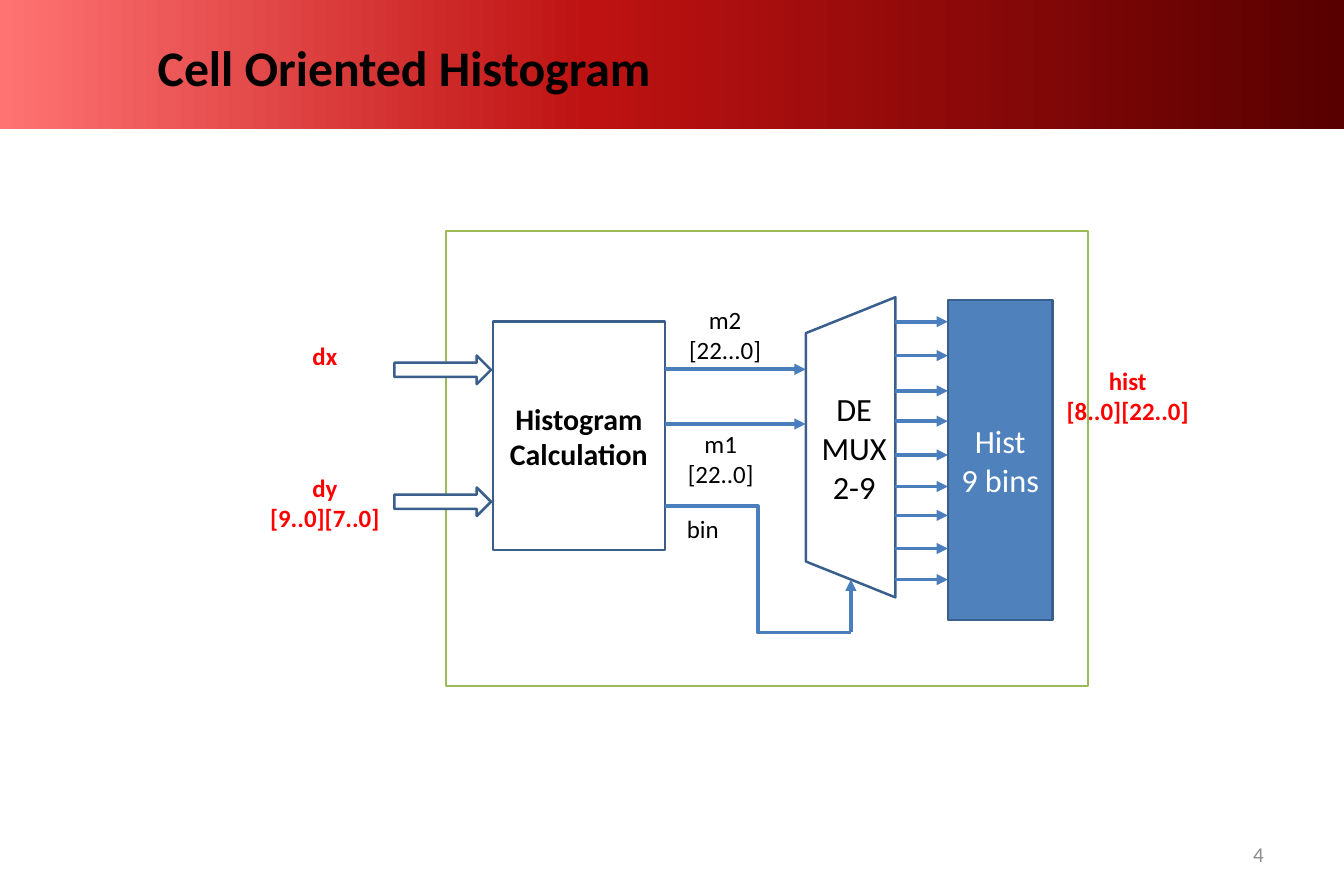
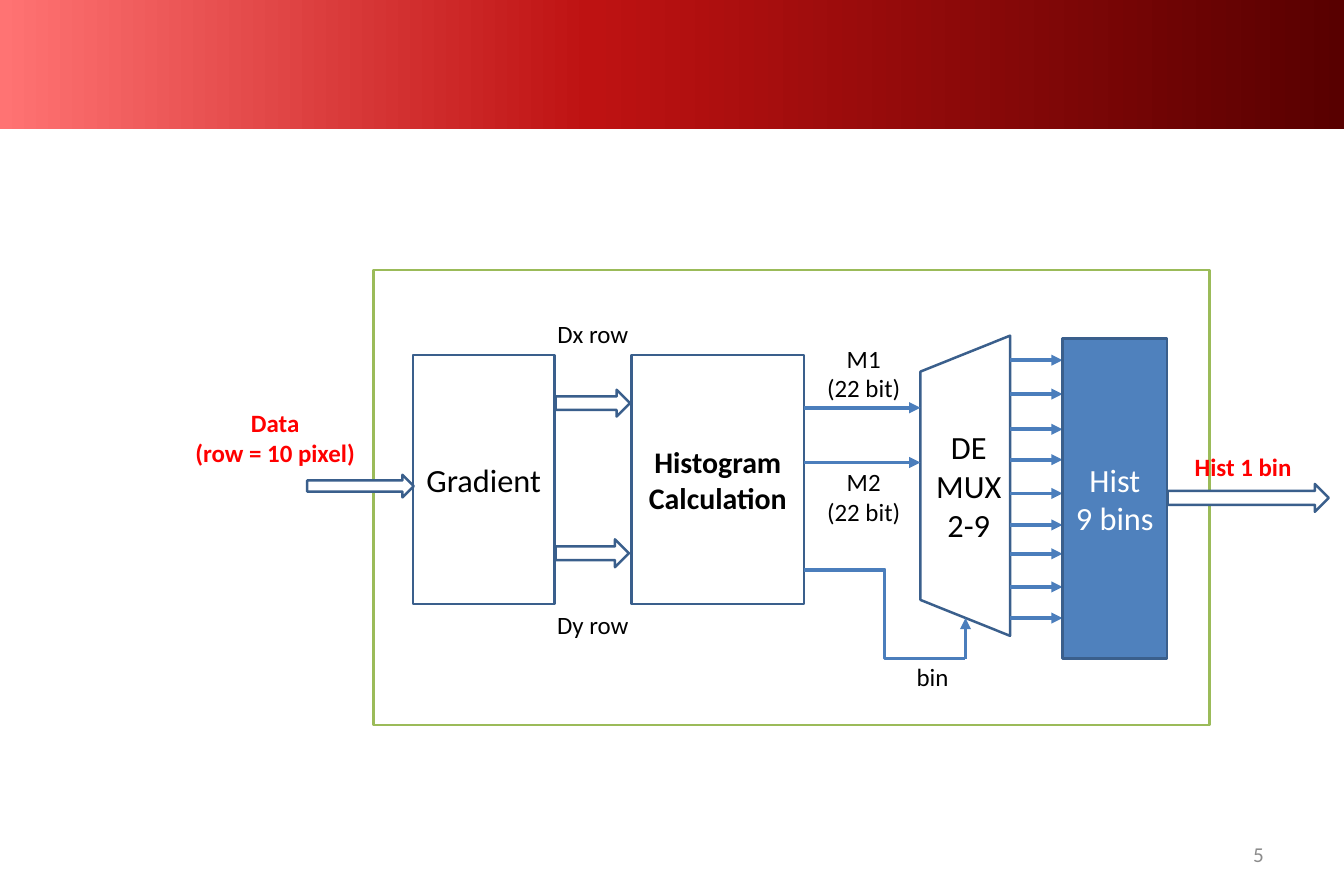
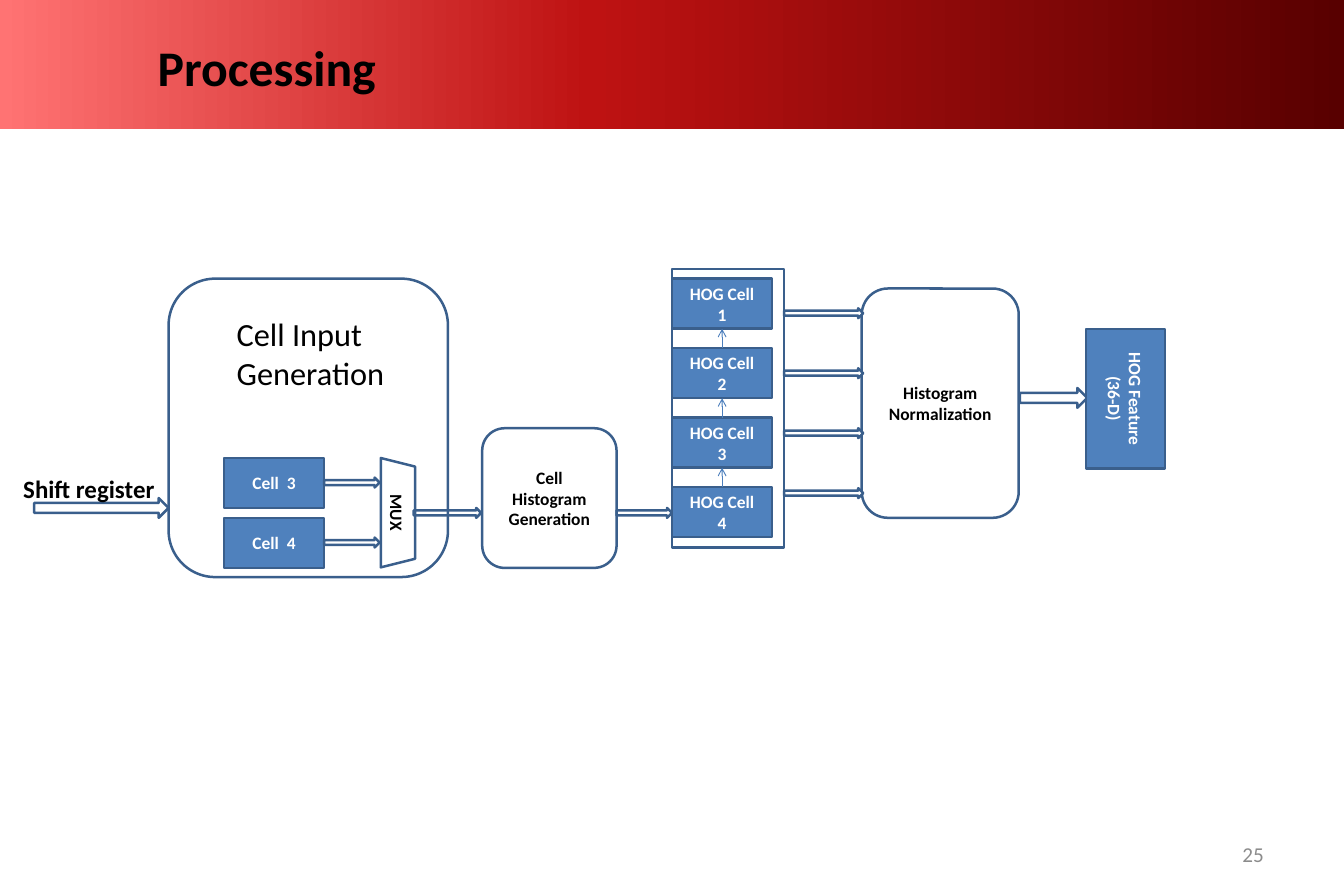
import copy

import pptx
import pptx.util
import pptx.dml.color
import pptx.enum.shapes
import pptx.enum.text
import pptx.oxml
import pptx.oxml.ns

Cm = pptx.util.Cm
Pt = pptx.util.Pt
PRESET = pptx.enum.shapes.MSO_SHAPE
LINK = pptx.enum.shapes.MSO_CONNECTOR
ALIGN = pptx.enum.text.PP_ALIGN
ANCHOR = pptx.enum.text.MSO_ANCHOR

COLORS = {
    "black": "000000", "white": "FFFFFF", "red": "FF0000", "gray": "8C8C8C",
    "blue": "4F81BD", "edge": "3A5F8C", "wire": "4B7EBC", "green": "9BBB59",
    "band_left": "FF7373", "band_middle": "BE1212", "band_right": "580000",
}
BAND_STOPS = [(0, "band_left"), (0.44, "band_middle"), (1, "band_right")]
WIDE, NARROW = (0.36, 0.18), (0.25, 0.13)

# name: (font format, colour, alignment, insets)
TEXT = {
    "title": ({"size": Pt(40), "bold": True}, "black", ALIGN.LEFT, WIDE),
    "number": ({"size": Pt(17), "bold": False}, "gray", ALIGN.RIGHT, WIDE),
    "port": ({"size": Pt(20), "bold": True}, "red", ALIGN.CENTER, NARROW),
    "signal": ({"size": Pt(20), "bold": False}, "black", ALIGN.CENTER, NARROW),
    "source": ({"size": Pt(20), "bold": True}, "black", ALIGN.LEFT, WIDE),
    "heading": ({"size": Pt(26), "bold": False}, "black", ALIGN.LEFT, WIDE),
    "unit": ({"size": Pt(26), "bold": False}, "black", ALIGN.CENTER, NARROW),
    "store": ({"size": Pt(26), "bold": False}, "white", ALIGN.CENTER, NARROW),
    "calculation": ({"size": Pt(24), "bold": True}, "black", ALIGN.CENTER, WIDE),
    "step": ({"size": Pt(14), "bold": True}, "black", ALIGN.CENTER, WIDE),
    "cell": ({"size": Pt(14), "bold": True}, "white", ALIGN.CENTER, WIDE),
}


def rgb(name):
    """Return the named colour."""
    return pptx.dml.color.RGBColor.from_string(COLORS[name])


def apply(target, settings):
    """Set every attribute given in a dict."""
    for attribute, value in settings.items():
        setattr(target, attribute, value)


class Deck:
    """Presentation style, and the slide being drawn."""

    def __init__(self):
        """Start an empty deck of the right size."""
        self.presentation = pptx.Presentation()
        apply(self.presentation, {"slide_width": Cm(38.1), "slide_height": Cm(25.4)})
        self.slide = None

    def start(self, number, title=None):
        """Add a slide with its number and, if given, its title."""
        layouts = self.presentation.slide_layouts
        layout = layouts.get_by_name("Blank" if title is None else "Title Only")
        first = self.slide is None
        self.slide = self.presentation.slides.add_slide(layout)
        if first:
            self.band()
        if title:
            heading = self.slide.shapes.title
            apply(heading, {"left": Cm(4.11), "top": Cm(0.56),
                            "width": Cm(32.05), "height": Cm(2.64)})
            self.set_text(heading, title, "title")
        self.label(number, (27.3, 23.55, 8.89, 1.35), "number", ANCHOR.MIDDLE)

    def band(self):
        """Draw the gradient band and place it on the slide master."""
        band = self.shape(PRESET.RECTANGLE, (0, 0, 38.1, 3.66), line=None)
        band.fill.gradient()
        band.fill.gradient_angle = 0
        stop_list = band._element.spPr.find(".//" + pptx.oxml.ns.qn("a:gsLst"))
        stop_list.append(copy.deepcopy(stop_list[-1]))
        for stop, (position, color) in zip(band.fill.gradient_stops, BAND_STOPS):
            stop.position = position
            stop.color.rgb = rgb(color)
        band._element.nvSpPr.cNvPr.set("id", "100")
        self.presentation.slide_master.shapes._spTree.insert(2, band._element)

    def set_text(self, shape, text, style, anchor=ANCHOR.MIDDLE):
        """Put styled text into a shape."""
        font_format, color, align, (side, edge) = TEXT[style]
        frame = shape.text_frame
        apply(frame, {"text": text, "word_wrap": True, "vertical_anchor": anchor,
                      "auto_size": pptx.enum.text.MSO_AUTO_SIZE.NONE,
                      "margin_left": Cm(side), "margin_right": Cm(side),
                      "margin_top": Cm(edge), "margin_bottom": Cm(edge)})
        for paragraph in frame.paragraphs:
            paragraph.alignment = align
            for run in paragraph.runs:
                apply(run.font, {"name": "Calibri", **font_format})
                run.font.color.rgb = rgb(color)

    def label(self, text, box, style, anchor=ANCHOR.TOP):
        """Add a text box."""
        self.set_text(self.slide.shapes.add_textbox(*map(Cm, box)), text, style, anchor)

    def shape(self, preset, box, text="", style="step", fill="white",
              line="edge", rotation=0):
        """Add a preset shape; a fill or line of None is left out."""
        shape = self.slide.shapes.add_shape(preset, *map(Cm, box))
        shape.shadow.inherit = False
        shape.rotation = rotation
        if fill:
            shape.fill.solid()
            shape.fill.fore_color.rgb = rgb(fill)
        else:
            shape.fill.background()
        if line:
            shape.line.color.rgb = rgb(line)
            shape.line.width = Pt(2)
        else:
            shape.line.fill.background()
        if text:
            self.set_text(shape, text, style)
        return shape

    def box(self, box, text="", style="step", **look):
        """Add a rectangle."""
        return self.shape(PRESET.RECTANGLE, box, text, style, **look)

    def rounded(self, box, text="", **look):
        """Add a rounded rectangle."""
        return self.shape(PRESET.ROUNDED_RECTANGLE, box, text, **look)

    def arrow(self, box, **look):
        """Add a block arrow pointing right."""
        return self.shape(PRESET.RIGHT_ARROW, box, **look)

    def wire(self, start, end, head="triangle", width=3, kind=LINK.STRAIGHT):
        """Add a connector with an optional head at its end."""
        wire = self.slide.shapes.add_connector(kind, *map(Cm, (*start, *end)))
        wire.line.color.rgb = rgb("wire")
        wire.line.width = Pt(width)
        if head:
            tail = pptx.oxml.parse_xml(
                f'<a:tailEnd {pptx.oxml.ns.nsdecls("a")} type="{head}"/>')
            wire.line._get_or_add_ln().append(tail)
        wire._element.spPr.append(pptx.oxml.parse_xml(
            f'<a:effectLst {pptx.oxml.ns.nsdecls("a")}/>'))


OUTPUTS = [0.61, 1.57, 2.57, 3.43, 4.39, 5.28, 6.1, 7.04, 7.92]


def demux_stage(deck, left, top, source, bin_start, bin_turn, upper, lower, lower_width):
    """Draw the demultiplexer, its inputs from source, and the histogram store."""
    demux = deck.shape(PRESET.TRAPEZOID, (left - 7.01, top + 2.9, 8.51, 2.54),
                       "DE\nMUX\v2-9", "unit", rotation=270)
    demux.adjustments[0] = 0.401
    demux.text_frame._txBody.bodyPr.set("vert", "vert")
    for offset in (1.96, 3.51):
        deck.wire((source, top + offset), (left - 4.03, top + offset))
    deck.label(upper, (source + 0.08, top, 3.25, 1.96), "signal")
    deck.label(lower, (source + 0.08, top + 3.51, lower_width, 1.96), "signal")
    for offset in OUTPUTS:
        deck.wire((left - 1.49, top + offset), (left, top + offset))
    deck.box((left, top, 2.97, 9.07), "Hist\n9 bins", "store", fill="blue")
    select = left - 2.75
    deck.wire((source, bin_start), (select, bin_turn), head=None, kind=LINK.ELBOW)
    deck.wire((select, bin_turn), (select, top + OUTPUTS[-1]))


def cell_histogram(deck):
    """Build the slide on the cell oriented histogram."""
    deck.start("4", "Cell Oriented Histogram")
    deck.label("dx", (7.24, 9.53, 3.94, 1.12), "port")
    deck.label("dy\n[9..0][7..0]", (7.24, 13.26, 3.94, 1.96), "port")
    deck.box((13.97, 9.12, 4.88, 6.48), "Histogram Calculation", "calculation")
    deck.box((12.65, 6.55, 18.19, 12.9), fill=None, line="green")
    demux_stage(deck, 26.87, 8.51, 18.85, 14.35, 17.93,
                "m2\n[22...0]", "m1\n[22..0]", 3)
    deck.label("bin", (18.92, 14.43, 2.01, 1.12), "signal")
    deck.label("hist\n[8..0][22..0]", (29.85, 10.24, 4.24, 1.96), "port")
    for top in (10.08, 13.82):
        deck.arrow((11.18, top, 2.74, 0.81))


def row_histogram(deck):
    """Build the slide on the histogram of one data row."""
    deck.start("5")
    deck.label("Data\n(row = 10 pixel)", (4.98, 11.43, 5.64, 1.96), "port")
    deck.box((11.71, 10.06, 4.01, 7.06), "Gradient", "unit")
    deck.label("Dx row", (14.71, 8.89, 4.19, 1.12), "signal")
    deck.label("Dy row", (14.71, 17.15, 4.19, 1.12), "signal")
    deck.box((17.91, 10.06, 4.88, 7.06), "Histogram Calculation", "calculation")
    deck.box((10.59, 7.65, 23.7, 12.9), fill=None, line="green")
    demux_stage(deck, 30.12, 9.6, 22.78, 16.15, 18.67,
                "M1\n(22 bit)", "M2\n(22 bit)", 3.25)
    deck.label("bin", (25.43, 18.62, 2.01, 1.12), "signal")
    deck.label("Hist 1 bin", (33.12, 12.67, 4.24, 1.12), "port")
    for flow in [(33.1, 13.72, 4.57, 0.79), (15.75, 11.05, 2.11, 0.76),
                 (15.75, 15.29, 2.08, 0.79), (8.71, 13.46, 3.02, 0.64)]:
        deck.arrow(flow)


def processing(deck):
    """Build the slide on the processing chain."""
    deck.start("25", "Processing")
    cell_width, cell_height, thin = 2.84, 1.42, 0.28

    hog_left, hog_top, hog_step = 19.05, 7.9, 1.97
    for index in range(4):
        top = hog_top + index * hog_step
        deck.box((hog_left, top, cell_width, cell_height),
                 f"HOG Cell {index + 1}", "cell", fill="blue")
        if index:
            middle = hog_left + cell_width / 2
            deck.wire((middle, top), (middle, top - hog_step + cell_height),
                      "arrow", 0.75)

    for index, name in enumerate(["Cell  3", "Cell  4"]):
        top = 12.98 + index * 1.7
        deck.box((6.35, top, cell_width, cell_height), name, "cell", fill="blue")
        deck.arrow((9.19, top + 0.56, 1.57, thin))

    deck.rounded((24.43, 8.18, 4.45, 6.5), "Histogram Normalization")
    for index in range(4):
        deck.arrow((22.23, 8.74 + index * 1.7, 2.24, thin))
    deck.arrow((11.73, 14.4, 1.91, thin))
    deck.box((hog_left, 7.62, 3.18, 7.9), fill=None)
    deck.shape(PRESET.TRAPEZOID, (9.73, 14.05, 3.1, 0.97), "MUX",
               fill=None, rotation=90)
    deck.arrow((28.91, 11, 1.91, 0.56))
    deck.box((29.92, 10.19, 3.96, 2.24), "HOG Feature\n(36-D)", "cell",
             fill="blue", rotation=90)
    deck.rounded((13.67, 12.14, 3.81, 3.96), "Cell Histogram Generation")
    deck.rounded((4.78, 7.9, 7.92, 8.46), fill=None)
    deck.arrow((17.48, 14.4, 1.57, thin), fill=None)
    deck.label("Cell Input Generation", (6.35, 8.74, 5.38, 2.59), "heading")
    deck.arrow((0.97, 14.12, 3.81, 0.56), fill=None)
    deck.label("Shift register", (0.3, 13.26, 4.78, 1.22), "source")


deck = Deck()
for build in (cell_histogram, row_histogram, processing):
    build(deck)
deck.presentation.save("out.pptx")
